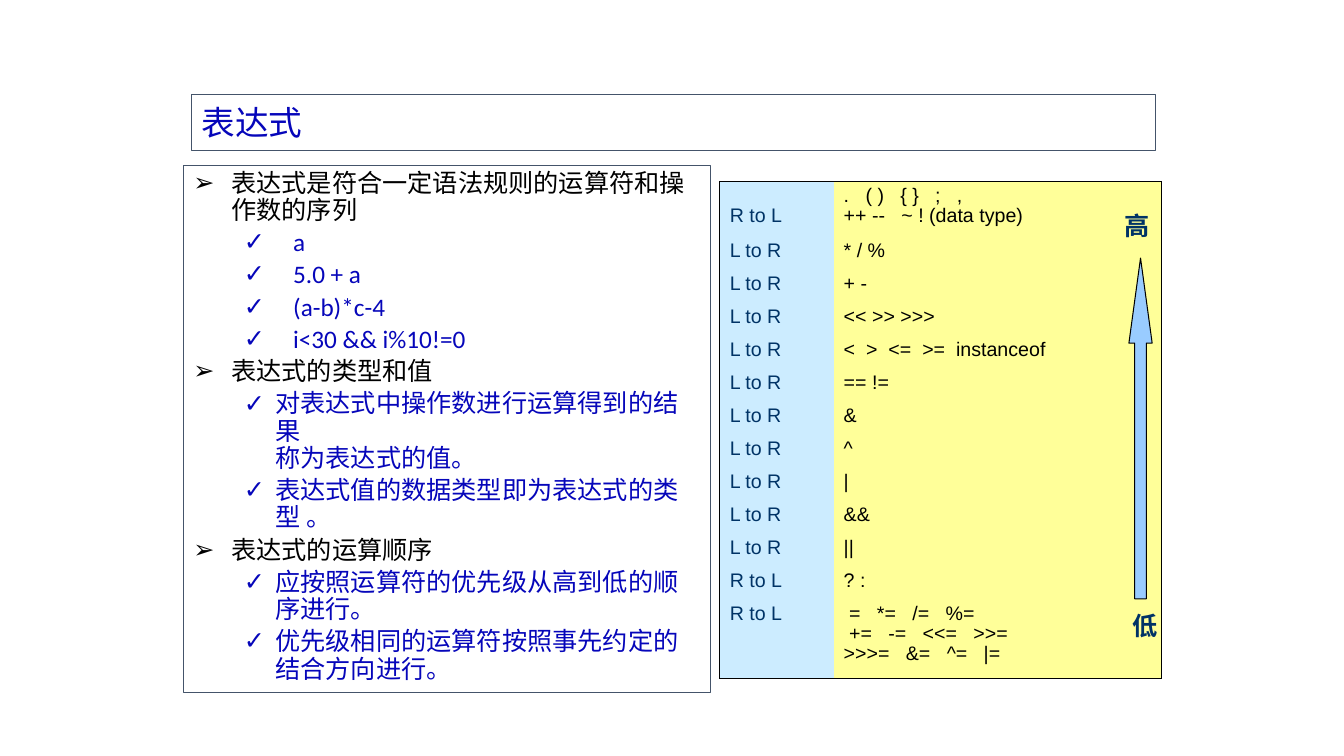
from dataclasses import dataclass

from lxml import etree
from pptx import Presentation
from pptx.dml.color import RGBColor
from pptx.enum.shapes import MSO_SHAPE
from pptx.enum.text import MSO_ANCHOR, MSO_AUTO_SIZE, PP_ALIGN
from pptx.oxml.ns import qn
from pptx.util import Pt

LEFT = PP_ALIGN.LEFT
TOP, MIDDLE = MSO_ANCHOR.TOP, MSO_ANCHOR.MIDDLE
NO_FIT = MSO_AUTO_SIZE.NONE
UP_ARROW = MSO_SHAPE.UP_ARROW
PLAIN_TABLE = "{2D5ABB26-0587-4C30-8999-92F81FD0307C}"


@dataclass(frozen=True)
class Theme:
    black: str = "000000"
    blue: str = "0606BA"
    navy: str = "003366"
    frame: str = "44546A"
    sky: str = "CCECFF"
    yellow: str = "FFFF99"
    arrow: str = "99CCFF"
    head: int = 24
    body: int = 18
    cell: int = 14


theme = Theme()


def rgb(code):
    return RGBColor.from_string(code)


def write(frame, text, size, color, font="Calibri", bold=False, first=True,
          line=None, before=0, after=0, bullet=None, margin=0, hang=0, tabs=()):
    """Write one paragraph; a vertical tab in the text breaks the line."""
    para = frame.paragraphs[0] if first else frame.add_paragraph()
    para.text = text
    para.alignment = LEFT
    para.line_spacing = line
    para.space_before, para.space_after = Pt(before), Pt(after)
    props = para._p.get_or_add_pPr()
    if bullet:
        props.set("marL", str(Pt(margin)))
        props.set("indent", str(Pt(-hang)))
        etree.SubElement(props, qn("a:buFont"), typeface="Arial")
        etree.SubElement(props, qn("a:buChar"), char=bullet)
    if tabs:
        stops = etree.SubElement(props, qn("a:tabLst"))
        for stop in tabs:
            etree.SubElement(stops, qn("a:tab"), pos=str(Pt(stop)), algn="l")
    for run in para.runs:
        run.font.name, run.font.size, run.font.bold = font, Pt(size), bold
        run.font.color.rgb = rgb(color)


deck = Presentation()
deck.slide_width, deck.slide_height = Pt(960), Pt(540)
slide = deck.slides.add_slide(deck.slide_layouts[1])
title, body = slide.placeholders

# Title and list
for box, place, anchor in (
    (title, (136.8, 67.7, 688.3, 39.6), MIDDLE),
    (body, (131, 118.1, 376.6, 376.6), TOP),
):
    box.left, box.top, box.width, box.height = map(Pt, place)
    box.line.color.rgb, box.line.width = rgb(theme.frame), Pt(0.75)
    box.text_frame.auto_size = NO_FIT
    box.text_frame.vertical_anchor = anchor
write(title.text_frame, "表达式", theme.head, theme.blue)

topic = dict(color=theme.black, bullet="➢", margin=27, hang=27)
point = dict(color=theme.blue, bullet="✓", margin=58.5, hang=22.5)
sample = dict(point, margin=71.2, hang=35.2)
items = [
    (topic, "表达式是符合一定语法规则的运算符和操作数的序列"),
    (sample, "a"),
    (sample, "5.0 + a"),
    (sample, "(a-b)*c-4"),
    (sample, "i<30 && i%10!=0"),
    (topic, "表达式的类型和值"),
    (point, "对表达式中操作数进行运算得到的结果\v称为表达式的值。"),
    (point, "表达式值的数据类型即为表达式的类型 。"),
    (topic, "表达式的运算顺序"),
    (point, "应按照运算符的优先级从高到低的顺序进行。"),
    (point, "优先级相同的运算符按照事先约定的结合方向进行。"),
]
for i, (style, text) in enumerate(items):
    write(body.text_frame, text, theme.body, first=i == 0, line=0.9,
          before=3.6 if i else 0, **style)
    if style is not topic:
        body.text_frame.paragraphs[i].level = 1

# Operator table: each line of operators has its own tab stops
ranks = [
    ("R to L", [(".\t( )\t{ }\t;\t,", (15.6, 40.4, 65.3, 80.9)),
                ("++ --\t~ ! (data type)", (41.2,))]),
    ("L to R", [("* / %", ())]),
    ("L to R", [("+ -", ())]),
    ("L to R", [("<< >> >>>", ())]),
    ("L to R", [("<\t>\t<=\t>=\tinstanceof", (16, 31.9, 56.1, 80.2))]),
    ("L to R", [("== !=", ())]),
    ("L to R", [("&", ())]),
    ("L to R", [("^", ())]),
    ("L to R", [("|", ())]),
    ("L to R", [("&&", ())]),
    ("L to R", [("||", ())]),
    ("R to L", [("? :", ())]),
    ("R to L", [("\t=\t*=\t/=\t%=", (3.9, 23.7, 49, 72.8)),
                ("\t+=\t-=\t<<=\t>>=", (3.9, 31.9, 56.4, 92.6)),
                (">>>=\t&=\t^=\t|=", (44.4, 73.6, 100))]),
]
last = len(ranks) - 1
grid = slide.shapes.add_table(len(ranks), 2, Pt(514.1), Pt(129.6),
                              Pt(315.4), Pt(355))
table = grid.table
table.first_row = table.horz_banding = False
table._tbl.tblPr.find(qn("a:tableStyleId")).text = PLAIN_TABLE
table.columns[0].width, table.columns[1].width = Pt(81.4), Pt(234)

for r, (order, lines) in enumerate(ranks):
    table.rows[r].height = Pt({0: 39.6, last: 55.8}.get(r, 23.6))
    for c, (rows, color, fill) in enumerate((
        ([(order, ())], theme.navy, theme.sky),
        (lines, theme.black, theme.yellow),
    )):
        cell = table.cell(r, c)
        for i, (text, tabs) in enumerate(rows):
            write(cell.text_frame, text, theme.cell, color, font="Arial",
                  first=i == 0, line=0.9, tabs=tabs,
                  after=2.8 if i == len(rows) - 1 else 0)
        cell.fill.solid()
        cell.fill.fore_color.rgb = rgb(fill)
        sides = ["lnR" if c else "lnL"]
        sides += ["lnT"] * (r == 0) + ["lnB"] * (r == last)
        for i, side in enumerate(sides):
            edge = etree.Element(qn("a:" + side), w=str(Pt(1)))
            paint = etree.SubElement(edge, qn("a:solidFill"))
            etree.SubElement(paint, qn("a:srgbClr"), val=theme.black)
            cell._tc.tcPr.insert(i, edge)
table.cell(0, 0).margin_top = Pt(18)

# Priority arrow
arrow = slide.shapes.add_shape(UP_ARROW, Pt(806.4), Pt(184.3), Pt(16.6), Pt(243.4))
arrow.shadow.inherit = False
arrow.adjustments[0], arrow.adjustments[1] = 0.5, 3.66
arrow.fill.solid()
arrow.fill.fore_color.rgb = rgb(theme.arrow)
arrow.line.color.rgb, arrow.line.width = rgb(theme.black), Pt(0.75)

for word, x, y in (("低", 808.6, 432.7), ("高", 803.5, 146.9)):
    label = slide.shapes.add_textbox(Pt(x), Pt(y), Pt(18.8), Pt(28.8)).text_frame
    label.word_wrap = True
    label.margin_left = label.margin_right = 0
    write(label, word, theme.body, theme.navy, font="Times New Roman", bold=True)

deck.save("out.pptx")
